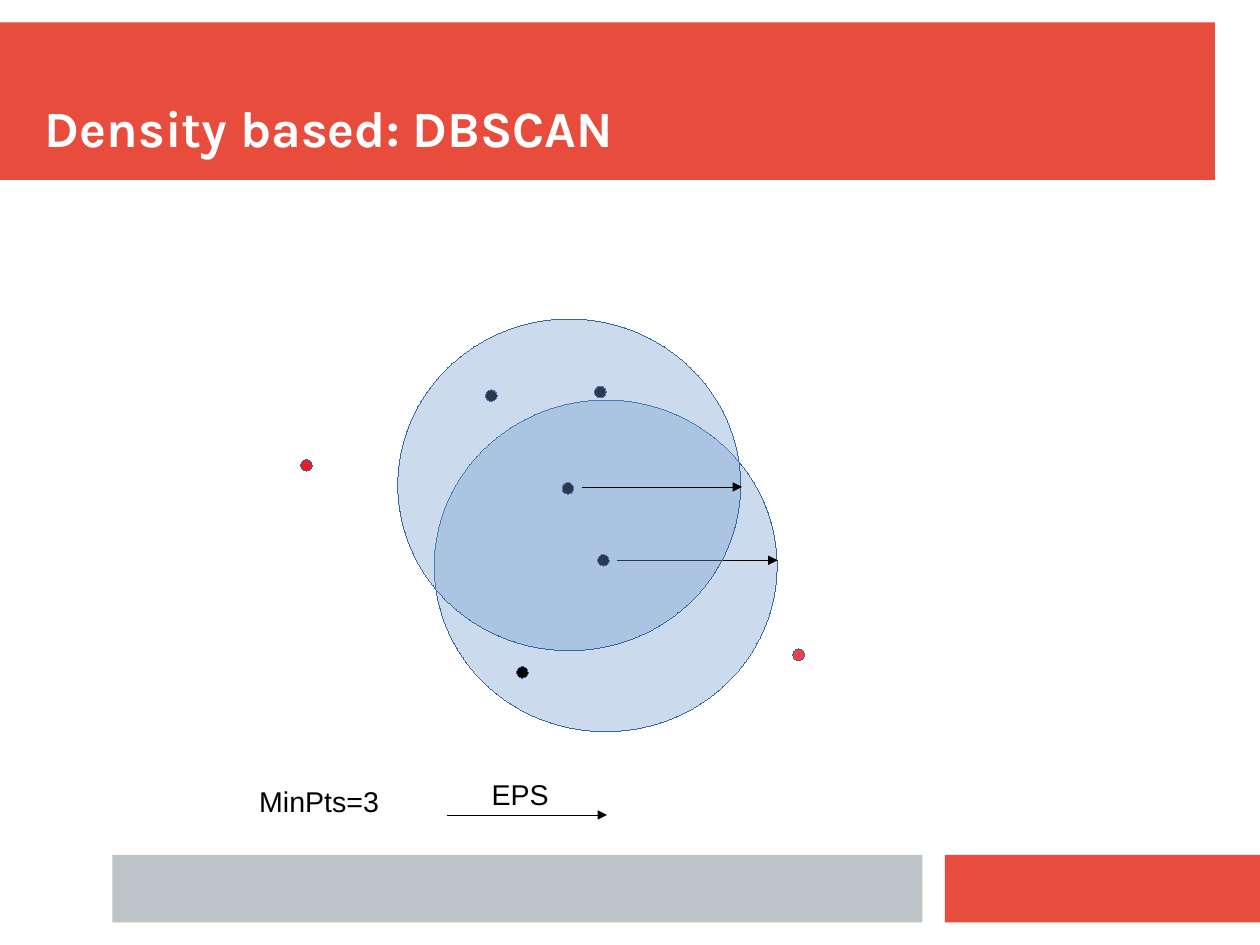
from dataclasses import dataclass

from lxml import etree
from pptx import Presentation
from pptx.dml.color import RGBColor
from pptx.enum.shapes import MSO_CONNECTOR, MSO_SHAPE
from pptx.enum.text import MSO_ANCHOR, PP_ALIGN
from pptx.oxml.ns import qn
from pptx.util import Cm, Inches, Pt

RECTANGLE, OVAL = MSO_SHAPE.RECTANGLE, MSO_SHAPE.OVAL
STRAIGHT = MSO_CONNECTOR.STRAIGHT
TOP, BOTTOM = MSO_ANCHOR.TOP, MSO_ANCHOR.BOTTOM
LEFT, CENTER = PP_ALIGN.LEFT, PP_ALIGN.CENTER

# The slide is a grid of 28 columns by 21 rows
COLUMNS, ROWS = 28, 21
WIDTH, HEIGHT = Cm(COLUMNS), Cm(ROWS)


@dataclass(frozen=True)
class Theme:
    red: str = "E74C3C"
    grey: str = "BDC3C7"
    white: str = "FFFFFF"
    black: str = "000000"
    outline: str = "3465A4"
    neighbourhood: str = "729FCF"
    noise: str = "ED1C24"
    far_noise: str = "EF413D"
    title_font: str = "Karla"
    label_font: str = "Arial"
    title_size: int = 32
    label_size: int = 18
    opacity: int = 37


THEME = Theme()


@dataclass(frozen=True)
class Box:
    col: float
    row: float
    cols: float
    rows: float

    def place(self) -> tuple[int, int, int, int]:
        return across(self.col), down(self.row), across(self.cols), down(self.rows)


@dataclass(frozen=True)
class Bar:
    box: Box
    color: str


@dataclass(frozen=True)
class Point:
    col: float
    row: float
    color: str = THEME.black


POINT_SIZE = 0.26
RADIUS_ARROW = 3.56
CIRCLE_COLS, CIRCLE_ROWS = 7.62, 7.37

BARS = [
    Bar(Box(0, 0.5, 27, 3.5), THEME.red),
    Bar(Box(21, 19, 7, 1.5), THEME.red),
    Bar(Box(2.5, 19, 18, 1.5), THEME.grey),
]
POINTS = [
    Point(11.61, 14.94),
    Point(12.62, 10.85),
    Point(6.81, 10.34, THEME.noise),
    Point(13.41, 12.45),
    Point(10.92, 8.79),
    Point(17.75, 14.55, THEME.far_noise),
    Point(13.34, 8.71),
]


def across(cols: float) -> int:
    return round(WIDTH * cols / COLUMNS)


def down(rows: float) -> int:
    return round(HEIGHT * rows / ROWS)


def draw_hairline(line, color: str):
    line.color.rgb = RGBColor.from_string(color)
    stroke = line._get_or_add_ln()
    stroke.set("w", "0")  # the width property leaves a zero out
    return stroke


def add_filled(slide, preset, box: Box, color: str, outline: str | None = None,
               opacity: int = 100) -> None:
    shape = slide.shapes.add_shape(preset, *box.place())
    shape.shadow.inherit = False
    shape.fill.solid()
    shape.fill.fore_color.rgb = RGBColor.from_string(color)
    if opacity < 100:
        tint = shape.fill._xPr.find(f".//{qn('a:srgbClr')}")
        etree.SubElement(tint, qn("a:alpha"), val=str(opacity * 1000))
    if outline:
        draw_hairline(shape.line, outline)
    else:
        shape.line.fill.background()


def add_neighbourhood(slide, col: float, row: float) -> None:
    add_filled(slide, OVAL, Box(col, row, CIRCLE_COLS, CIRCLE_ROWS),
               THEME.neighbourhood, THEME.outline, THEME.opacity)


def add_point(slide, point: Point) -> None:
    half = POINT_SIZE / 2
    box = Box(point.col - half, point.row - half, POINT_SIZE, POINT_SIZE)
    add_filled(slide, OVAL, box, point.color, THEME.outline)


def add_radius(slide, col: float, row: float) -> None:
    radius = slide.shapes.add_connector(
        STRAIGHT, across(col), down(row), across(col + RADIUS_ARROW), down(row))
    stroke = draw_hairline(radius.line, THEME.black)
    etree.SubElement(stroke, qn("a:tailEnd"), type="triangle")
    etree.SubElement(radius._element.spPr, qn("a:effectLst"))


def write(holder, text: str, *, font: str = THEME.label_font,
          size: int = THEME.label_size, color: str = THEME.black,
          bold: bool = False, align=LEFT, anchor=TOP,
          wrap: bool = True, inset: bool = True) -> None:
    frame = holder.text_frame
    frame.word_wrap = wrap
    frame.vertical_anchor = anchor
    frame.margin_left = frame.margin_right = Inches(0.1 if inset else 0)
    frame.margin_top = frame.margin_bottom = Inches(0.05 if inset else 0)
    paragraph = frame.paragraphs[0]
    paragraph.alignment = align
    run = paragraph.add_run()
    run.text = text
    run.font.name = font
    run.font.size = Pt(size)
    run.font.bold = bold
    run.font.color.rgb = RGBColor.from_string(color)


def add_label(slide, text: str, box: Box, **text_format) -> None:
    write(slide.shapes.add_textbox(*box.place()), text, **text_format)


def main() -> None:
    deck = Presentation()
    deck.slide_width, deck.slide_height = WIDTH, HEIGHT
    slide = deck.slides.add_slide(deck.slide_layouts[5])

    # Header and footer bars, with the title in front of them
    for bar in BARS:
        add_filled(slide, RECTANGLE, bar.box, bar.color)
    heading = slide.shapes.title
    slide.shapes._spTree.append(heading._element)
    heading.left, heading.top, heading.width, heading.height = Box(1, 1, 26, 2.5).place()
    write(heading, "Density based: DBSCAN", font=THEME.title_font,
          size=THEME.title_size, color=THEME.white, bold=True,
          anchor=BOTTOM, inset=False)

    # Points with the neighbourhoods of two core points
    add_neighbourhood(slide, 9.65, 8.89)
    for point in POINTS:
        add_point(slide, point)
    add_radius(slide, 13.72, 12.45)
    add_neighbourhood(slide, 8.84, 7.09)
    add_radius(slide, 12.93, 10.82)

    # Parameters
    add_radius(slide, 9.93, 18.11)
    add_label(slide, "EPS", Box(10.67, 17.14, 1.78, 3.43), align=CENTER, wrap=False)
    add_label(slide, "MinPts=3", Box(5.51, 17.3, 5.59, 0.97))

    deck.save("out.pptx")


if __name__ == "__main__":
    main()
